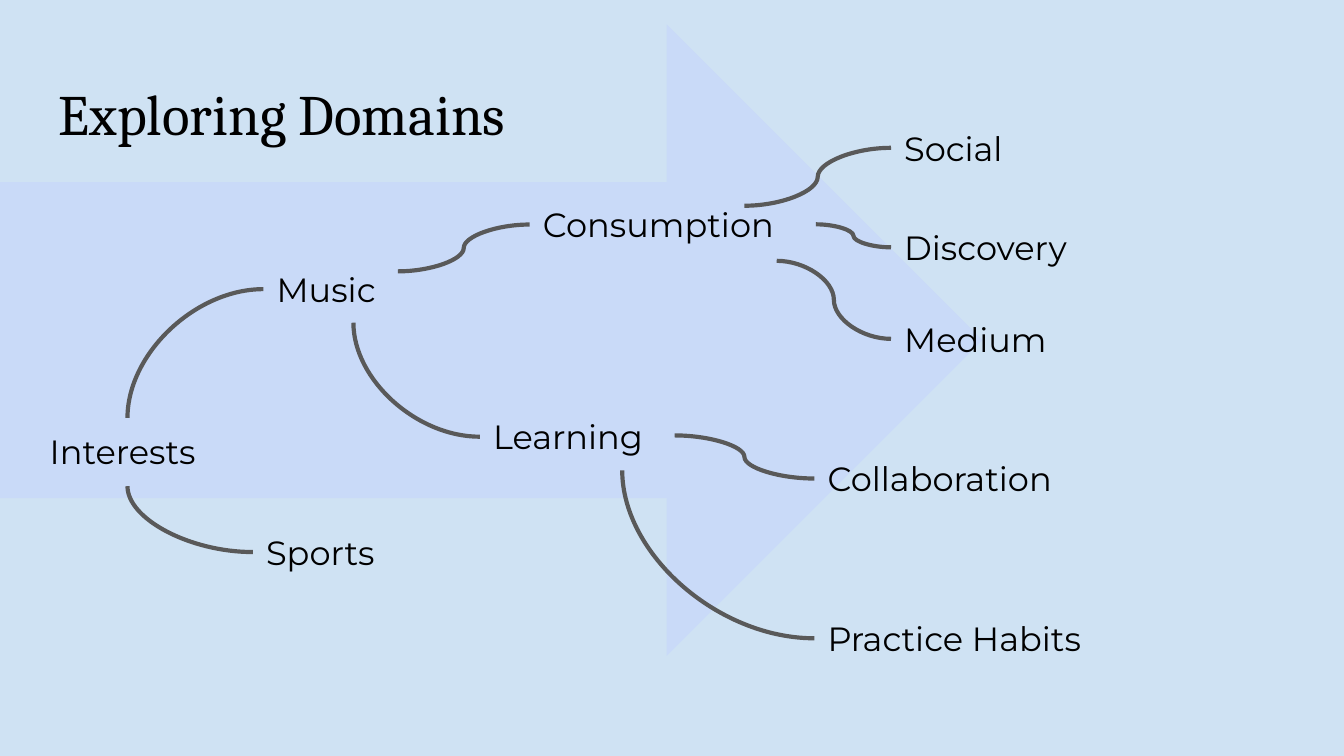
from lxml import etree
from pptx import Presentation
from pptx.dml.color import RGBColor
from pptx.enum.shapes import MSO_CONNECTOR, MSO_SHAPE
from pptx.enum.text import MSO_ANCHOR, MSO_AUTO_SIZE
from pptx.oxml.ns import qn
from pptx.util import Cm, Pt

CURVE = MSO_CONNECTOR.CURVE
RIGHT_ARROW = MSO_SHAPE.RIGHT_ARROW
TOP = MSO_ANCHOR.TOP
FIT_SHAPE = MSO_AUTO_SIZE.SHAPE_TO_FIT_TEXT
NO_AUTO_SIZE = MSO_AUTO_SIZE.NONE

BACKGROUND, ARROW, LINE, TEXT = "CFE2F3", "C9DAF8", "595959", "000000"
LABEL_HEIGHT = 1.27
NARROW, WIDE = 3.43, 5.41
QUARTER_TURN_BACK = "16200000"

ROOT = ("Interests", 0, 5.74, NARROW)
# Each branch: label, left, top, width, curve start, whether it is a single bend
BRANCHES = [
    ("Music", 4.29, 2.67, NARROW, (1.72, 5.74), True),
    ("Sports", 4.09, 7.64, NARROW, (1.72, 7.03), True),
    ("Consumption", 9.32, 1.45, WIDE, (6.83, 2.97), False),
    ("Learning", 8.38, 5.46, WIDE, (5.99, 3.94), True),
    ("Collaboration", 14.7, 6.25, WIDE, (12.06, 6.07), False),
    ("Practice Habits", 14.7, 9.27, WIDE, (11.07, 6.73), True),
    ("Social", 16.15, 0, WIDE, (13.38, 1.73), False),
    ("Discovery", 16.15, 1.88, WIDE, (14.73, 2.08), False),
    ("Medium", 16.15, 3.61, WIDE, (13.99, 2.77), False),
]


def color(value):
    """Turn a hex string into a colour."""
    return RGBColor.from_string(value)


def add_text(slide, text, left, top, width, height, font_name, size, auto_size):
    """Add a one-line text box."""
    shape = slide.shapes.add_textbox(Cm(left), Cm(top), Cm(width), Cm(height))
    text_frame = shape.text_frame
    text_frame.text = text
    text_frame.word_wrap = True
    text_frame.auto_size = auto_size
    text_frame.vertical_anchor = TOP
    text_frame.margin_left = text_frame.margin_right = Cm(0.25)
    text_frame.margin_top = text_frame.margin_bottom = Cm(0.25)
    font = text_frame.paragraphs[0].runs[0].font
    font.name = font_name
    font.size = Pt(size)
    font.color.rgb = color(TEXT)


def add_curve(slide, start, end, single_bend):
    """Add an S-curve, or one bend that leaves vertically and arrives level."""
    (start_x, start_y), (end_x, end_y) = start, end
    if single_bend:
        center_x, center_y = (start_x + end_x) / 2, (start_y + end_y) / 2
        half_width, half_height = (end_x - start_x) / 2, (end_y - start_y) / 2
        start_x, end_x = center_x + half_height, center_x - half_height
        start_y, end_y = center_y - half_width, center_y + half_width
    connector = slide.shapes.add_connector(
        CURVE, Cm(start_x), Cm(start_y), Cm(end_x), Cm(end_y))
    connector.line.color.rgb = color(LINE)
    connector.line.width = Pt(2.25)
    properties = connector._element.spPr
    if single_bend:
        properties.find(qn("a:xfrm")).set("rot", QUARTER_TURN_BACK)
        properties.find(qn("a:prstGeom")).set("prst", "curvedConnector2")
    etree.SubElement(properties, qn("a:effectLst"))


def add_arrow(slide, left, top, width, height):
    """Add the wide arrow behind the map."""
    shape = slide.shapes.add_shape(
        RIGHT_ARROW, Cm(left), Cm(top), Cm(width), Cm(height))
    shape.shadow.inherit = False
    shape.fill.solid()
    shape.fill.fore_color.rgb = color(ARROW)
    shape.line.fill.background()


def add_title(slide, left, top, width, height):
    """Add the slide title."""
    add_text(slide, "Exploring Domains", left, top, width, height,
             "Cambria", 30.6, NO_AUTO_SIZE)


def add_label(slide, text, left, top, width):
    """Add one label of the map."""
    add_text(slide, text, left, top, width, LABEL_HEIGHT,
             "Montserrat", 18, FIT_SHAPE)


def add_map(slide, left, top):
    """Add the labels and the curve that leads to each branch."""
    text, x, y, width = ROOT
    add_label(slide, text, left + x, top + y, width)
    for text, x, y, width, (start_x, start_y), single_bend in BRANCHES:
        add_label(slide, text, left + x, top + y, width)
        add_curve(slide, (left + start_x, top + start_y),
                  (left + x, top + y + LABEL_HEIGHT / 2), single_bend)


def main():
    """Build and save the presentation."""
    presentation = Presentation()
    presentation.slide_width = Cm(25.4)
    presentation.slide_height = Cm(14.29)
    slide = presentation.slides.add_slide(presentation.slide_layouts[6])
    slide.background.fill.solid()
    slide.background.fill.fore_color.rgb = color(BACKGROUND)
    add_arrow(slide, 0, 0.46, 18.57, 11.94)
    add_title(slide, 0.86, 1.24, 23.67, 1.6)
    add_map(slide, 0.69, 2.16)
    presentation.save("out.pptx")


if __name__ == "__main__":
    main()
